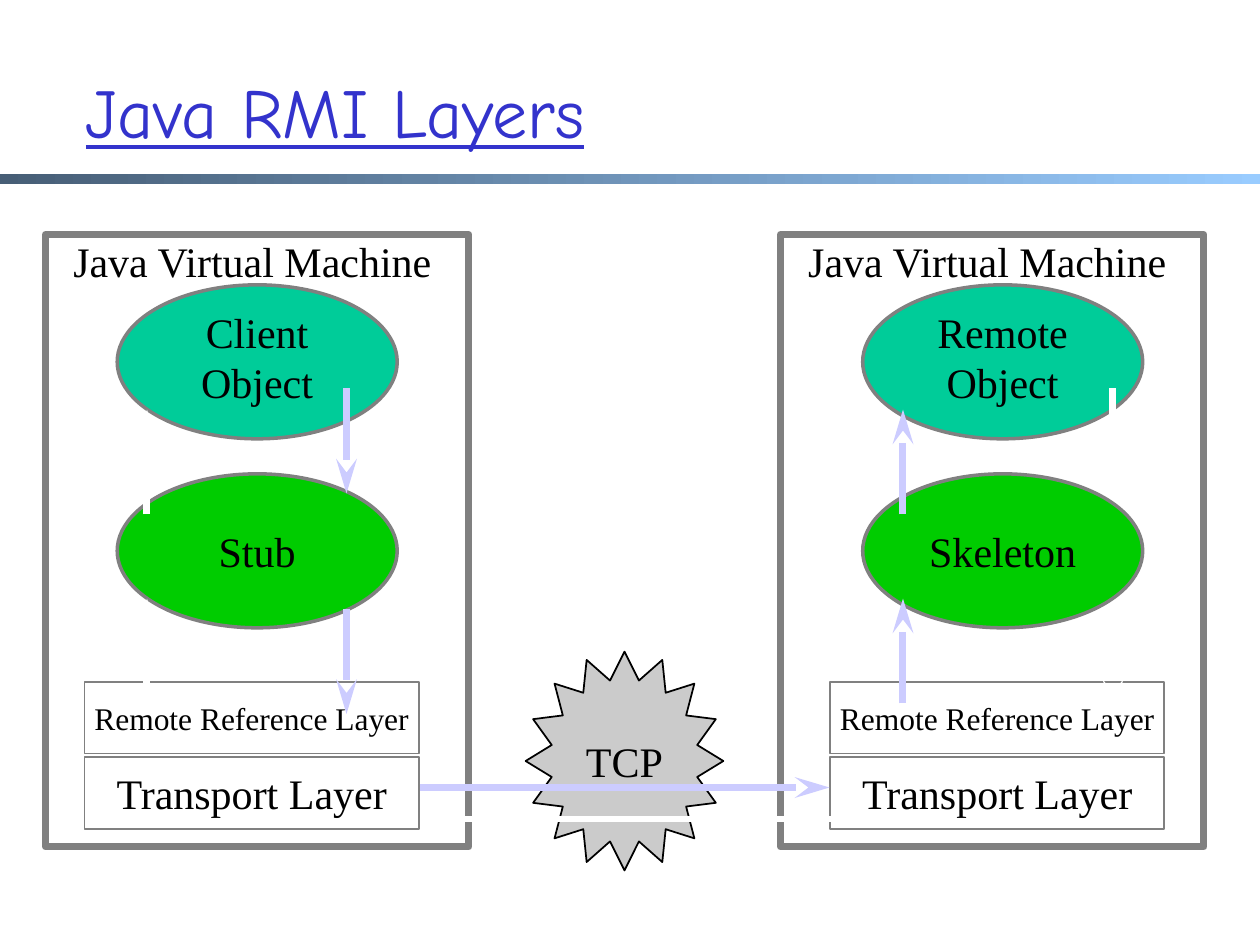
from lxml.etree import SubElement
from pptx import Presentation
from pptx.dml.color import RGBColor
from pptx.enum.shapes import MSO_CONNECTOR as Connector, MSO_SHAPE as Shape
from pptx.enum.text import MSO_ANCHOR as Anchor, PP_ALIGN as Align
from pptx.oxml.ns import qn
from pptx.util import Pt

COLORS = {
    "title": "3333CC", "text": "000000", "border": "808080",
    "bar_start": "475E76", "bar_end": "99CCFF", "cloud": "CBCBCB",
    "object": "00CC99", "proxy": "00CC00",
    "call": "CCCCFF", "reply": "FFFFFF",
}


def rgb(name):
    return RGBColor.from_string(COLORS[name])


class Diagram:
    font = "Times New Roman"
    size = 24

    def __init__(self, slide):
        self.slide = slide

    def set_text(self, shape, words, size=None, font=None, color="text",
                 align=Align.CENTER, anchor=Anchor.MIDDLE, wrap=False, underline=None):
        frame = shape.text_frame
        frame.word_wrap = wrap
        frame.vertical_anchor = anchor
        paragraph = frame.paragraphs[0]
        paragraph.text = words
        paragraph.alignment = align
        style = paragraph.font
        style.name = font or self.font
        style.size = Pt(size or self.size)
        style.color.rgb = rgb(color)
        style.underline = underline

    def shape(self, kind, box, fill=None, border="border", weight=1,
              words=None, size=None, parent=None):
        shapes = (parent or self.slide).shapes
        shape = shapes.add_shape(kind, *map(Pt, box))
        shape.shadow.inherit = False
        if fill:
            shape.fill.solid()
            shape.fill.fore_color.rgb = rgb(fill)
        else:
            shape.fill.background()
        if border:
            shape.line.color.rgb = rgb(border)
            shape.line.width = Pt(weight)
        else:
            shape.line.fill.background()
        if words:
            self.set_text(shape, words, size)
        return shape

    def label(self, box, words, **style):
        self.set_text(self.slide.shapes.add_textbox(*map(Pt, box)), words, **style)

    def gradient_bar(self, box, start, end):
        bar = self.shape(Shape.RECTANGLE, box, border=None)
        bar.fill.gradient()
        bar.fill.gradient_angle = 0
        for stop, name in zip(bar.fill.gradient_stops, (start, end)):
            stop.color.rgb = rgb(name)

    def arrow(self, x1, y1, x2, y2, color):
        arrow = self.slide.shapes.add_connector(
            Connector.STRAIGHT, *map(Pt, (x1, y1, x2, y2)))
        arrow.line.color.rgb = rgb(color)
        arrow.line.width = Pt(4)
        properties = arrow._element.spPr
        SubElement(properties.find(qn("a:ln")), qn("a:tailEnd"),
                   type="stealth", w="med", len="lg")
        SubElement(properties, qn("a:effectLst"))


deck = Presentation()
deck.slide_width, deck.slide_height = Pt(720), Pt(540)
diagram = Diagram(deck.slides.add_slide(deck.slide_layouts[6]))

# Heading
diagram.gradient_bar((0, 99.5, 720, 5.5), "bar_start", "bar_end")
diagram.label((42, 18, 612, 90), "Java RMI Layers", size=40, font="Comic Neue",
              color="title", align=Align.LEFT, wrap=True, underline=True)

# Network between the machines
network = diagram.shape(Shape.STAR_16_POINT, (300.4, 372.4, 113, 125),
                        "cloud", "text", words="TCP")
network.adjustments[0] = 0.375

# Two virtual machines: frame left, contents left, object, proxy
machines = [(26, 48.4, "Client Object", "Stub"),
            (446, 474.4, "Remote Object", "Skeleton")]
for frame_left, left, object_name, proxy_name in machines:
    diagram.shape(Shape.RECTANGLE, (frame_left, 134, 242, 350), weight=4)
    diagram.label((frame_left + 8.8, 131, 221, 36), "Java Virtual Machine",
                  align=Align.LEFT, anchor=Anchor.TOP)
    layers = diagram.slide.shapes.add_group_shape()
    for top, layer, size in ((389.6, "Remote Reference Layer", 18),
                             (432.6, "Transport Layer", 24)):
        diagram.shape(Shape.RECTANGLE, (left, top, 191, 41),
                      words=layer, size=size, parent=layers)
    diagram.shape(Shape.OVAL, (left + 18.6, 162.8, 160, 88), "object", weight=2)
    diagram.label((left + 35.5, 171.4, 126, 65), object_name,
                  anchor=Anchor.TOP, wrap=True)
    diagram.shape(Shape.OVAL, (left + 18.6, 270.8, 160, 88), "proxy", weight=2,
                  words=proxy_name)

# Calls and replies across the network
diagram.arrow(480, 468, 240, 468, "reply")
diagram.arrow(240, 450, 474, 450, "call")

# Calls and replies between neighbouring layers
for step in (0, 126):
    for x, color in ((198, "call"), (636, "reply")):
        diagram.arrow(x, 222 + step, x, 282 + step, color)
for step in (0, 108):
    for x, color in ((84, "reply"), (516, "call")):
        diagram.arrow(x, 294 + step, x, 234 + step, color)

deck.save("out.pptx")
